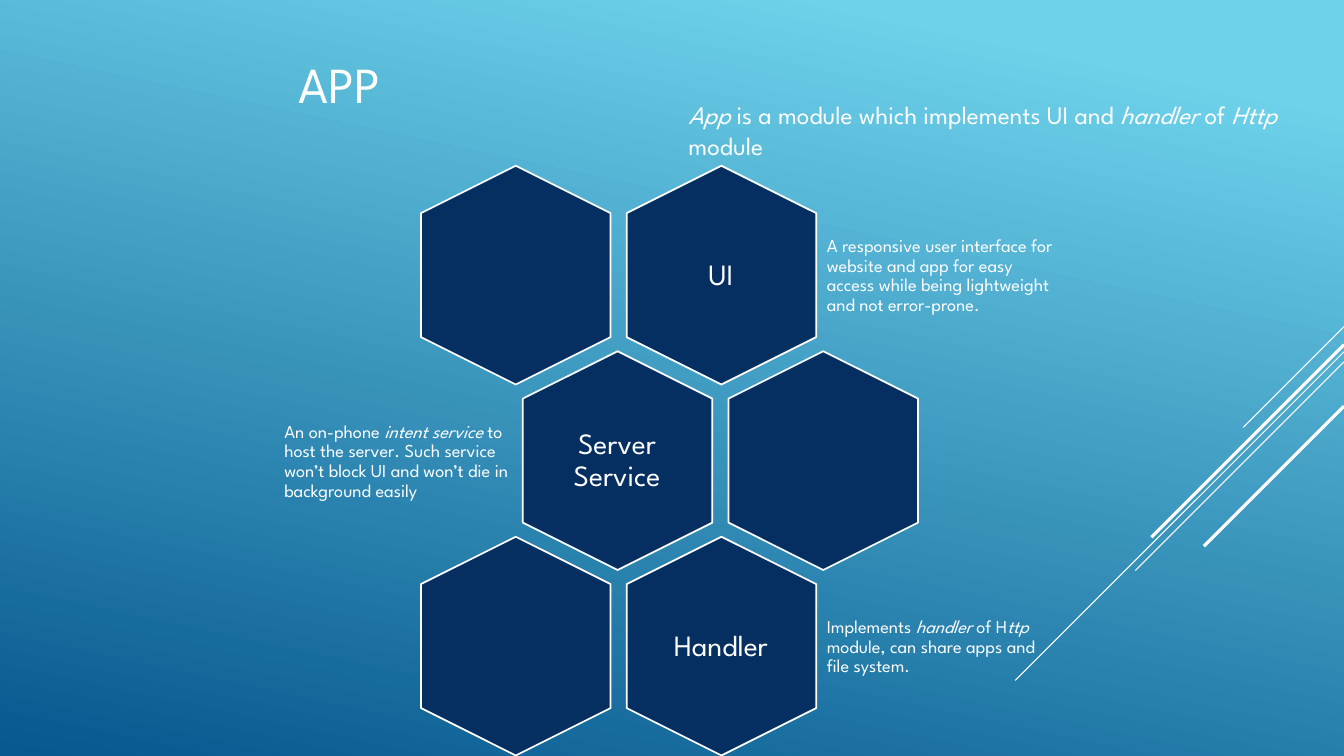
"""Build the APP slide: a honeycomb of three app parts with their descriptions."""
from dataclasses import dataclass

from lxml.etree import SubElement
from pptx import Presentation
from pptx.dml.color import RGBColor
from pptx.enum.shapes import MSO_CONNECTOR, MSO_SHAPE
from pptx.enum.text import MSO_ANCHOR, PP_ALIGN
from pptx.oxml.ns import qn
from pptx.util import Inches, Pt


@dataclass(frozen=True)
class Theme:
    font: str = "League Spartan"
    white: RGBColor = RGBColor(0xFF, 0xFF, 0xFF)
    navy: RGBColor = RGBColor(0x05, 0x2F, 0x61)
    sky: RGBColor = RGBColor(0x6E, 0xD2, 0xEB)
    ocean: RGBColor = RGBColor(0x06, 0x58, 0x8E)
    title: int = 36
    label: int = 21
    lead: int = 18
    body: int = 13


theme = Theme()


def write(box, spans, size, align=PP_ALIGN.LEFT, anchor=MSO_ANCHOR.MIDDLE, spacing=0.9):
    """Fill a box with one paragraph whose spans alternate upright and italic."""
    frame = box.text_frame
    frame.word_wrap = True
    frame.vertical_anchor = anchor
    para = frame.paragraphs[0]
    para.alignment = align
    para.line_spacing = spacing
    for index, words in enumerate(spans):
        if words:
            span = para.add_run()
            span.text = words
            span.font.name = theme.font
            span.font.size = Pt(size)
            span.font.italic = index % 2 == 1
            span.font.color.rgb = theme.white


def add_box(page, left, top, width, height, inset):
    """Add a text box with equal insets on all sides."""
    box = page.shapes.add_textbox(Inches(left), Inches(top), Inches(width), Inches(height))
    frame = box.text_frame
    frame.margin_left = frame.margin_right = Inches(inset)
    frame.margin_top = frame.margin_bottom = Inches(inset)
    return box


deck = Presentation()
deck.slide_width = Inches(13.33)
deck.slide_height = Inches(7.5)
page = deck.slides.add_slide(deck.slide_layouts[5])

backdrop = page.background.fill
backdrop.gradient()
backdrop.gradient_angle = 258
for stop, color, position in zip(backdrop.gradient_stops, (theme.sky, theme.ocean), (0.1, 1.0)):
    stop.color.rgb = color
    stop.position = position

title = page.shapes.title
title.left, title.top = Inches(0), Inches(0)
title.width, title.height = Inches(6.73), Inches(1.65)
write(title, ["APP"], theme.title, PP_ALIGN.CENTER, spacing=1.0)

diagonals = [(3.24, 1.0, 0.75), (3.49, 3.26, 0.75), (3.59, 2.07, 0.75), (3.42, 1.91, 2.25), (4.03, 1.39, 2.25)]
for top, reach, weight in diagonals:
    streak = page.shapes.add_connector(
        MSO_CONNECTOR.STRAIGHT, Inches(13.33), Inches(top), Inches(13.33 - reach), Inches(top + reach)
    )
    streak.line.color.rgb = theme.white
    streak.line.width = Pt(weight)
    SubElement(streak._element.spPr, qn("a:effectLst"))

hexagon_width, hexagon_height = 2.17, 1.88
column_step, row_step = 2.04, 1.84
row_starts = [4.03, 5.04, 4.03]
parts = {
    (0, 1): ("UI", 8.15, 2.42, [
        "A responsive user interface for website and app for easy access "
        "while being lightweight and not error-prone."]),
    (1, 0): ("Server Service", 2.77, 2.34, [
        "An on-phone ", "intent service",
        " to host the server. Such service won’t block UI and won’t die in background easily"]),
    (2, 1): ("Handler", 8.15, 2.42, [
        "Implements ", "handler", " of H", "ttp", " module, can share apps and file system."]),
}
for row, row_start in enumerate(row_starts):
    top = 1.79 + row * row_step
    for column in range(2):
        left = row_start + column * column_step
        hexagon = page.shapes.add_shape(
            MSO_SHAPE.HEXAGON, Inches(left), Inches(top), Inches(hexagon_width), Inches(hexagon_height)
        )
        hexagon.rotation = 90
        hexagon.adjustments[0] = 0.25
        hexagon.shadow.inherit = False
        hexagon.fill.solid()
        hexagon.fill.fore_color.rgb = theme.navy
        hexagon.line.color.rgb = theme.white
        hexagon.line.width = Pt(1.25)
        if (row, column) in parts:
            name, note_left, note_width, note = parts[row, column]
            label = add_box(page, left + 0.43, top + 0.2, 1.3, 1.49, 0.09)
            write(label, [name], theme.label, PP_ALIGN.CENTER)
            description = add_box(page, note_left, top + 0.3, note_width, 1.3, 0.05)
            write(description, note, theme.body)

lead = page.shapes.add_textbox(Inches(6.73), Inches(0.94), Inches(6.61), Inches(0.71))
lead_spans = ["", "App", " is a module which implements UI and ", "handler", " of ", "Http", " module"]
write(lead, lead_spans, theme.lead, anchor=MSO_ANCHOR.TOP, spacing=1.0)

deck.save("out.pptx")
